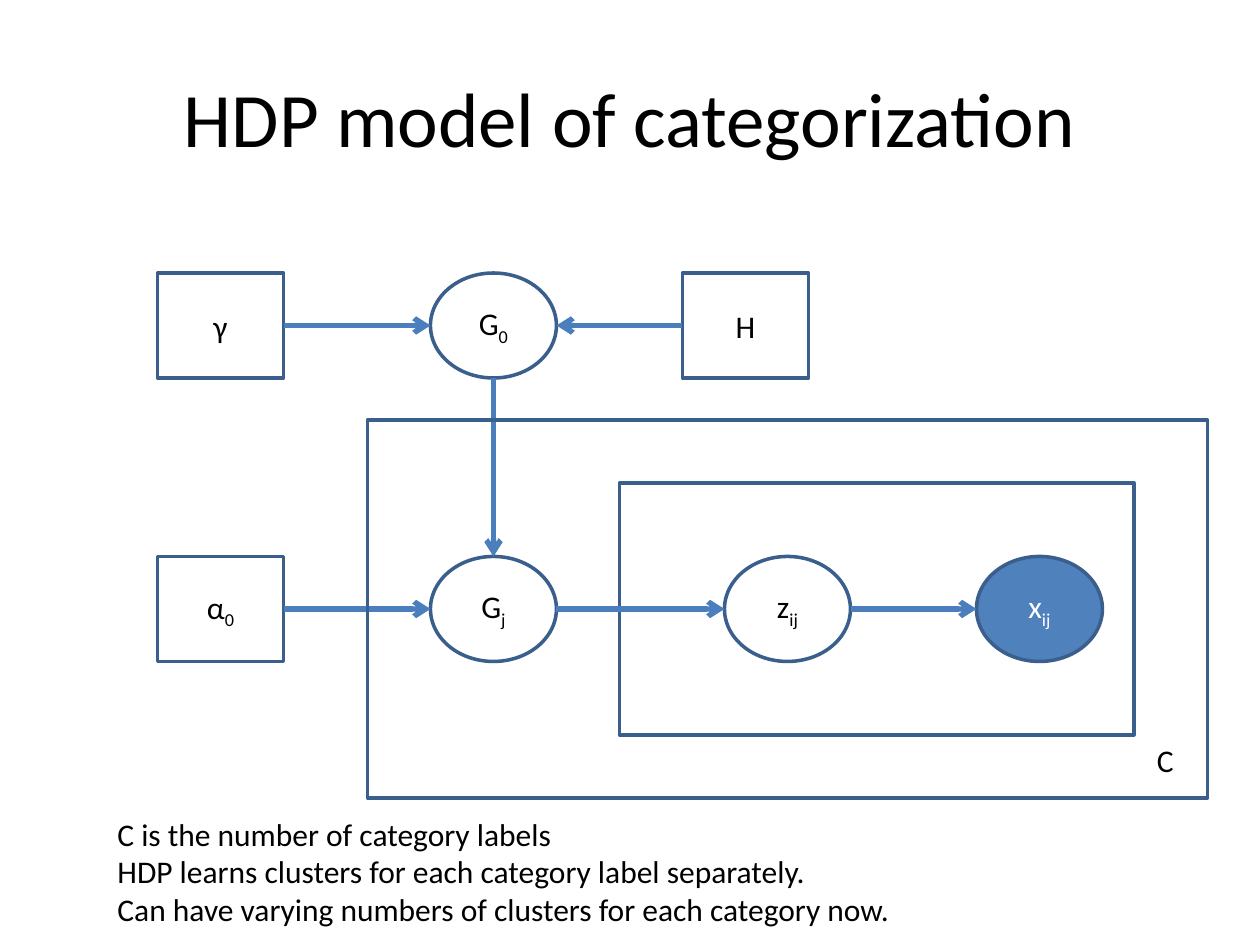
from dataclasses import dataclass, field

from lxml.etree import SubElement
from pptx import Presentation
from pptx.dml.color import RGBColor
from pptx.enum.shapes import MSO_CONNECTOR as Connector, MSO_SHAPE as Preset
from pptx.enum.text import MSO_ANCHOR as Anchor, MSO_AUTO_SIZE as AutoSize, PP_ALIGN as Align
from pptx.oxml.ns import qn
from pptx.shapes.autoshape import Shape
from pptx.slide import Slide
from pptx.text.text import TextFrame
from pptx.util import Emu, Pt

EMU_PER_PX = 7620
NODE_WIDTH, NODE_HEIGHT = 100, 100
NODE_WIDTH = 120
TOP, LEFT, BOTTOM, RIGHT = range(4)


@dataclass(frozen=True)
class Theme:
    font: str = "Calibri"
    title_size: int = 44
    body_size: int = 18
    ink: RGBColor = field(default_factory=lambda: RGBColor.from_string("000000"))
    paper: RGBColor = field(default_factory=lambda: RGBColor.from_string("FFFFFF"))
    observed: RGBColor = field(default_factory=lambda: RGBColor.from_string("4F81BD"))
    outline: RGBColor = field(default_factory=lambda: RGBColor.from_string("3A5F8C"))
    arrow: RGBColor = field(default_factory=lambda: RGBColor.from_string("4B7EBC"))
    outline_width: int = 2
    arrow_width: int = 3


@dataclass(frozen=True)
class Box:
    left: int
    top: int
    width: int
    height: int

    def emu(self) -> list[Emu]:
        return [px(value) for value in (self.left, self.top, self.width, self.height)]

    def side(self, side: int) -> tuple[Emu, Emu]:
        across, down = {TOP: (1, 0), LEFT: (0, 1), BOTTOM: (1, 2), RIGHT: (2, 1)}[side]
        return px(self.left + across * self.width // 2), px(self.top + down * self.height // 2)


@dataclass(frozen=True)
class Node:
    symbol: str
    subscript: str
    left: int
    top: int
    preset: Preset = Preset.OVAL
    observed: bool = False

    @property
    def box(self) -> Box:
        return Box(self.left, self.top, NODE_WIDTH, NODE_HEIGHT)


@dataclass(frozen=True)
class Edge:
    source: str
    source_side: int
    target: str
    target_side: int


@dataclass(frozen=True)
class Label:
    lines: tuple[str, ...]
    box: Box
    size: int
    is_title: bool = False


THEME = Theme()
UPPER_ROW, LOWER_ROW = 260, 530
NODES = {
    "x": Node("x", "ij", 930, LOWER_ROW, observed=True),
    "z": Node("z", "ij", 690, LOWER_ROW),
    "group": Node("G", "j", 410, LOWER_ROW),
    "alpha": Node("α", "0", 150, LOWER_ROW, Preset.RECTANGLE),
    "base": Node("G", "0", 410, UPPER_ROW),
    "gamma": Node("γ", "", 150, UPPER_ROW, Preset.RECTANGLE),
    "prior": Node("H", "", 650, UPPER_ROW, Preset.RECTANGLE),
}
EDGES = (
    Edge("alpha", RIGHT, "group", LEFT),
    Edge("base", BOTTOM, "group", TOP),
    Edge("group", RIGHT, "z", LEFT),
    Edge("z", RIGHT, "x", LEFT),
    Edge("gamma", RIGHT, "base", LEFT),
    Edge("prior", LEFT, "base", RIGHT),
)
ITEM_PLATE = Box(590, 460, 490, 240)
CATEGORY_PLATE = Box(350, 400, 800, 360)
LABELS = (
    Label(("HDP model of categorization",), Box(60, 36, 1080, 150), THEME.title_size, True),
    Label(("C",), Box(1090, 700, 50, 48), THEME.body_size),
    Label(
        (
            "C is the number of category labels",
            "HDP learns clusters for each category label separately.",
            "Can have varying numbers of clusters for each category now.",
        ),
        Box(100, 770, 980, 121),
        THEME.body_size,
    ),
)


def px(value: int) -> Emu:
    return Emu(value * EMU_PER_PX)


def write_lines(frame: TextFrame, lines: tuple[str, ...], size: int,
                color: RGBColor, alignment: Align) -> None:
    frame.word_wrap = True
    frame.text = "\n".join(lines)
    for paragraph in frame.paragraphs:
        paragraph.alignment = alignment
        paragraph.font.name = THEME.font
        paragraph.font.size = Pt(size)
        paragraph.font.color.rgb = color


def draw_outline(slide: Slide, preset: Preset, box: Box) -> Shape:
    shape = slide.shapes.add_shape(preset, *box.emu())
    shape.shadow.inherit = False
    shape.fill.background()
    shape.line.color.rgb = THEME.outline
    shape.line.width = Pt(THEME.outline_width)
    return shape


def draw_node(slide: Slide, node: Node) -> Shape:
    shape = draw_outline(slide, node.preset, node.box)
    if node.observed:
        shape.fill.solid()
        shape.fill.fore_color.rgb = THEME.observed
    frame = shape.text_frame
    frame.vertical_anchor = Anchor.MIDDLE
    color = THEME.paper if node.observed else THEME.ink
    write_lines(frame, (node.symbol,), THEME.body_size, color, Align.CENTER)
    if node.subscript:
        run = frame.paragraphs[0].add_run()
        run.text = node.subscript
        run._r.get_or_add_rPr().set("baseline", "-25000")
    return shape


def draw_edge(slide: Slide, edge: Edge, shapes: dict[str, Shape]) -> None:
    source, target = NODES[edge.source], NODES[edge.target]
    connector = slide.shapes.add_connector(
        Connector.STRAIGHT, *source.box.side(edge.source_side), *target.box.side(edge.target_side)
    )
    if source.preset == Preset.RECTANGLE:
        connector.begin_connect(shapes[edge.source], edge.source_side)
    connector.line.color.rgb = THEME.arrow
    connector.line.width = Pt(THEME.arrow_width)
    SubElement(connector.line._get_or_add_ln(), qn("a:tailEnd"), type="arrow")
    SubElement(connector._element.spPr, qn("a:effectLst"))


def draw_label(slide: Slide, label: Label) -> None:
    frame = slide.shapes.add_textbox(*label.box.emu()).text_frame
    alignment = Align.CENTER if label.is_title else Align.LEFT
    write_lines(frame, label.lines, label.size, THEME.ink, alignment)
    if label.is_title:
        frame.vertical_anchor = Anchor.MIDDLE
    else:
        frame.auto_size = AutoSize.SHAPE_TO_FIT_TEXT


def main() -> None:
    presentation = Presentation()
    presentation.slide_width, presentation.slide_height = px(1200), px(900)
    slide = presentation.slides.add_slide(presentation.slide_layouts[6])
    draw_outline(slide, Preset.RECTANGLE, ITEM_PLATE)
    shapes = {name: draw_node(slide, node) for name, node in NODES.items()}
    for edge in EDGES:
        draw_edge(slide, edge, shapes)
    draw_outline(slide, Preset.RECTANGLE, CATEGORY_PLATE)
    for label in LABELS:
        draw_label(slide, label)
    presentation.save("out.pptx")


if __name__ == "__main__":
    main()
